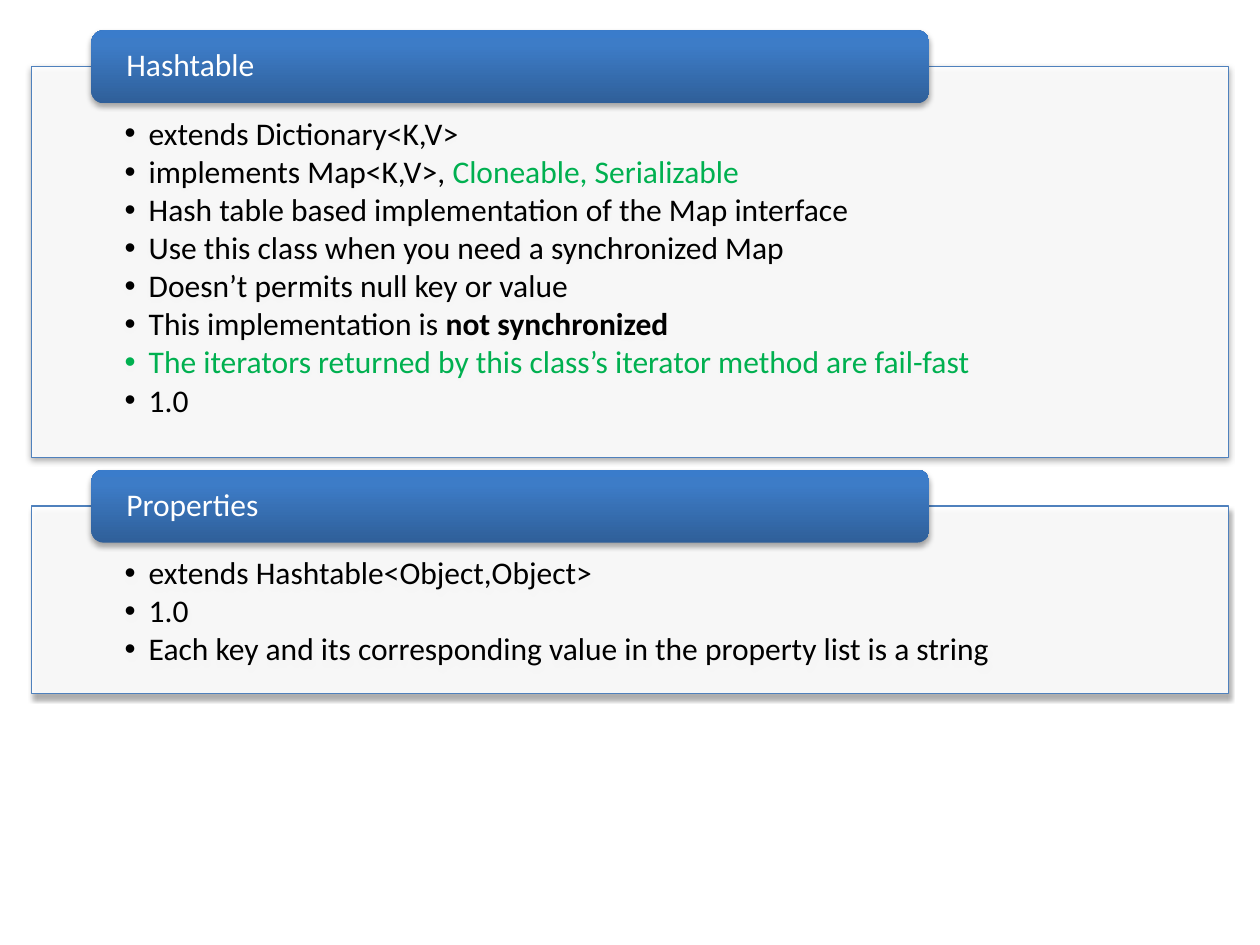
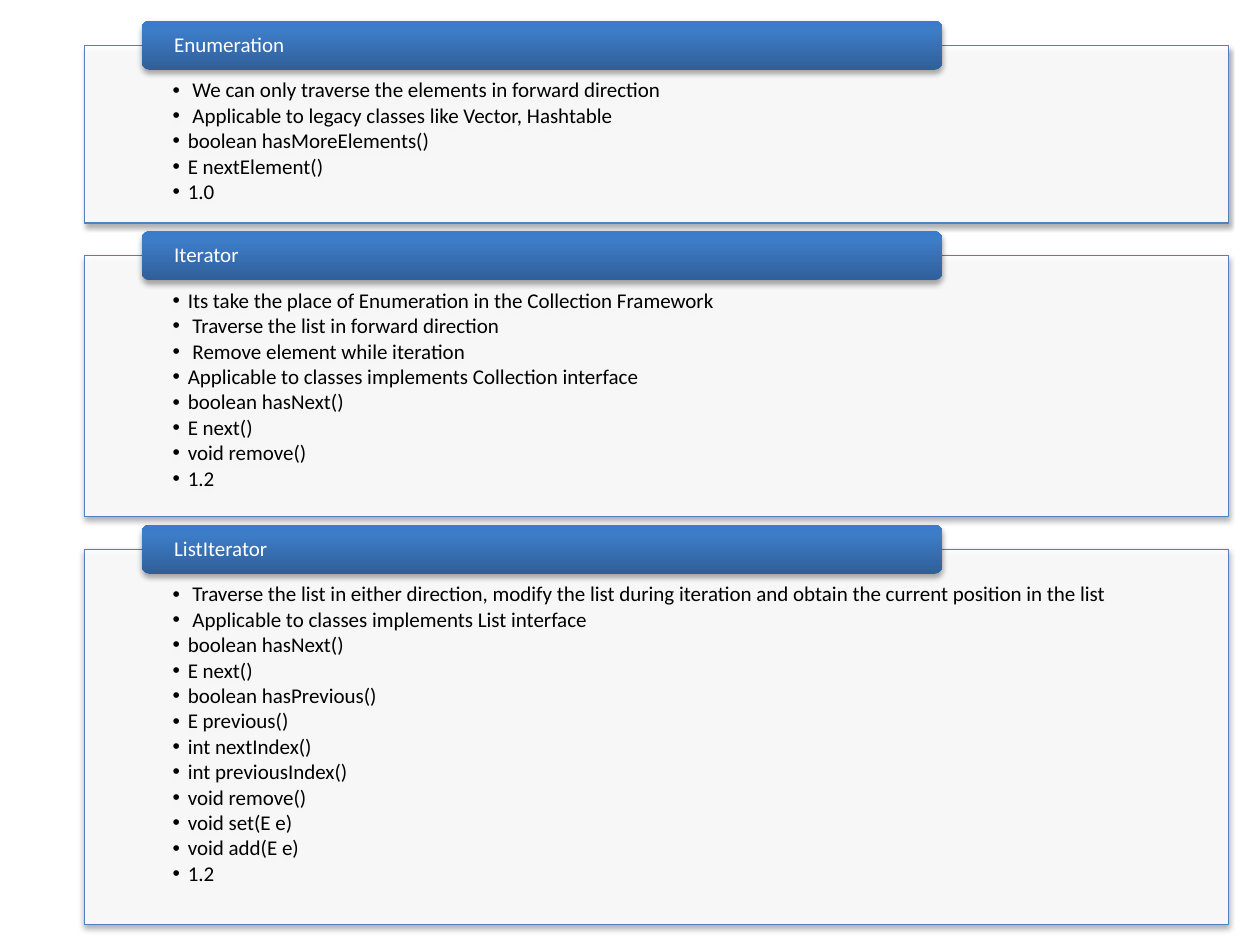
"""Two slides of titled cards on Java map classes and iterators."""
from pptx import Presentation
from pptx.dml.color import RGBColor
from pptx.enum.shapes import MSO_SHAPE
from pptx.enum.text import MSO_ANCHOR, PP_ALIGN
from pptx.oxml import parse_xml
from pptx.util import Inches, Pt

WHITE = RGBColor(0xFF, 0xFF, 0xFF)
BLACK = RGBColor(0, 0, 0)
GREEN = RGBColor(0x00, 0xB0, 0x50)
BLUE = RGBColor(0x4F, 0x81, 0xBD)
STOPS = [
    (0, RGBColor(0x2F, 0x5F, 0x99)),
    (80, RGBColor(0x3D, 0x7C, 0xC7)),
    (100, RGBColor(0x3A, 0x7C, 0xCB)),
]
FONT = "Calibri"
NS = 'xmlns:a="http://schemas.openxmlformats.org/drawingml/2006/main"'
SHADOW = (
    f'<a:outerShdw {NS} blurRad="40000" dist="23000" dir="5400000" rotWithShape="0">'
    '<a:srgbClr val="000000"><a:alpha val="35000"/></a:srgbClr></a:outerShdw>'
)
GRADIENT = (
    f'<a:gradFill {NS} rotWithShape="1"><a:gsLst>'
    + "".join(f'<a:gs pos="{pos * 1000}"><a:srgbClr val="{tone}"/></a:gs>' for pos, tone in STOPS)
    + '</a:gsLst><a:lin ang="16200000" scaled="0"/></a:gradFill>'
)

SLIDES = [
    {
        "left": 0.25, "top": 0.53, "width": 9.5, "tab": 0.58,
        "size": 18, "indent": 0.19, "inset": 0.74, "pad": 0.25,
        "cards": [
            ("Hashtable", 3.1, [
                "extends Dictionary<K,V>",
                [("implements Map<K,V>, ", BLACK, False), ("Cloneable, Serializable", GREEN, False)],
                "Hash table based implementation of the\u00a0Map interface",
                "Use this class when you need a synchronized Map",
                "Doesn’t permits null key or value",
                [("This implementation is ", BLACK, False), ("not synchronized", BLACK, True)],
                [("The iterators returned by this class’s iterator method are fail-fast", GREEN, False)],
                "1.0",
            ]),
            ("Properties", 1.49, [
                "extends Hashtable<Object,Object>",
                "1.0",
                "Each key and its corresponding value in the property list is a string",
            ]),
        ],
    },
    {
        "left": 0.67, "top": 0.36, "width": 9.08, "tab": 0.39,
        "size": 12, "indent": 0.12, "inset": 0.7, "pad": 0.24,
        "cards": [
            ("Enumeration", 1.41, [
                " We can only traverse the elements in forward direction",
                " Applicable to legacy classes like Vector, Hashtable",
                "boolean hasMoreElements()",
                "E nextElement()",
                "1.0",
            ]),
            ("Iterator", 2.07, [
                "Its take the place of Enumeration in the Collection Framework",
                " Traverse the list in forward direction",
                " Remove element while iteration",
                "Applicable to classes implements Collection interface",
                "boolean hasNext()",
                "E next()",
                "void remove()",
                "1.2",
            ]),
            ("ListIterator", 2.98, [
                " Traverse the list in either direction, modify the list during iteration"
                " and obtain the current position in the list",
                " Applicable to classes implements List interface",
                "boolean hasNext()",
                "E next()",
                "boolean hasPrevious()",
                "E previous()",
                "int nextIndex()",
                "int previousIndex()",
                "void remove()",
                "void set(E e)",
                "void add(E e)",
                "1.2",
            ]),
        ],
    },
]


def add_box(slide, kind, left, top, width, height, side, head):
    box = slide.shapes.add_shape(kind, Inches(left), Inches(top), Inches(width), Inches(height))
    box.shadow.inherit = False
    box._element.spPr.find("{*}effectLst").append(parse_xml(SHADOW))
    frame = box.text_frame
    frame.word_wrap = True
    frame.margin_left = frame.margin_right = Inches(side)
    frame.margin_top = Inches(head)
    frame.margin_bottom = 0
    return box


def add_run(para, text, size, color, bold=False):
    para.alignment = PP_ALIGN.LEFT
    para.line_spacing = 0.9
    run = para.add_run()
    run.text = text
    run.font.name = FONT
    run.font.size = Pt(size)
    run.font.bold = bold
    run.font.color.rgb = color


deck = Presentation()
deck.slide_width = Inches(10)
deck.slide_height = Inches(7.5)

for page in SLIDES:
    slide = deck.slides.add_slide(deck.slide_layouts[6])
    left, top, width = page["left"], page["top"], page["width"]
    tab, size = page["tab"], page["size"]
    for name, height, items in page["cards"]:
        panel = add_box(slide, MSO_SHAPE.RECTANGLE, left, top, width, height,
                        page["inset"], tab * 0.7)
        panel.fill.solid()
        panel.fill.fore_color.rgb = WHITE
        tone = panel._element.spPr.find("{*}solidFill")[0]
        tone.append(parse_xml(f'<a:alpha {NS} val="90000"/>'))
        panel.line.color.rgb = BLUE
        panel.line.width = Pt(0.75)
        frame = panel.text_frame
        frame.vertical_anchor = MSO_ANCHOR.TOP
        for row, item in enumerate(items):
            para = frame.add_paragraph() if row else frame.paragraphs[0]
            para.level = 1
            para.space_after = Pt(size * 0.13)
            runs = [(item, BLACK, False)] if isinstance(item, str) else item
            for text, color, bold in runs:
                add_run(para, text, size, color, bold)
            props = para._p.get_or_add_pPr()
            props.set("marL", str(Inches(page["indent"])))
            props.set("indent", str(-Inches(page["indent"])))
            props.append(parse_xml(f'<a:buFont {NS} typeface="Arial"/>'))
            props.append(parse_xml(f'<a:buChar {NS} char="•"/>'))

        label = add_box(slide, MSO_SHAPE.ROUNDED_RECTANGLE, left + width * 0.05, top - tab / 2,
                        width * 0.7, tab, page["pad"], 0)
        label._element.spPr.insert(2, parse_xml(GRADIENT))
        label.line.fill.background()
        label.text_frame.vertical_anchor = MSO_ANCHOR.MIDDLE
        add_run(label.text_frame.paragraphs[0], name, size, WHITE)
        top += height + tab * 2 / 3

deck.save("out.pptx")
